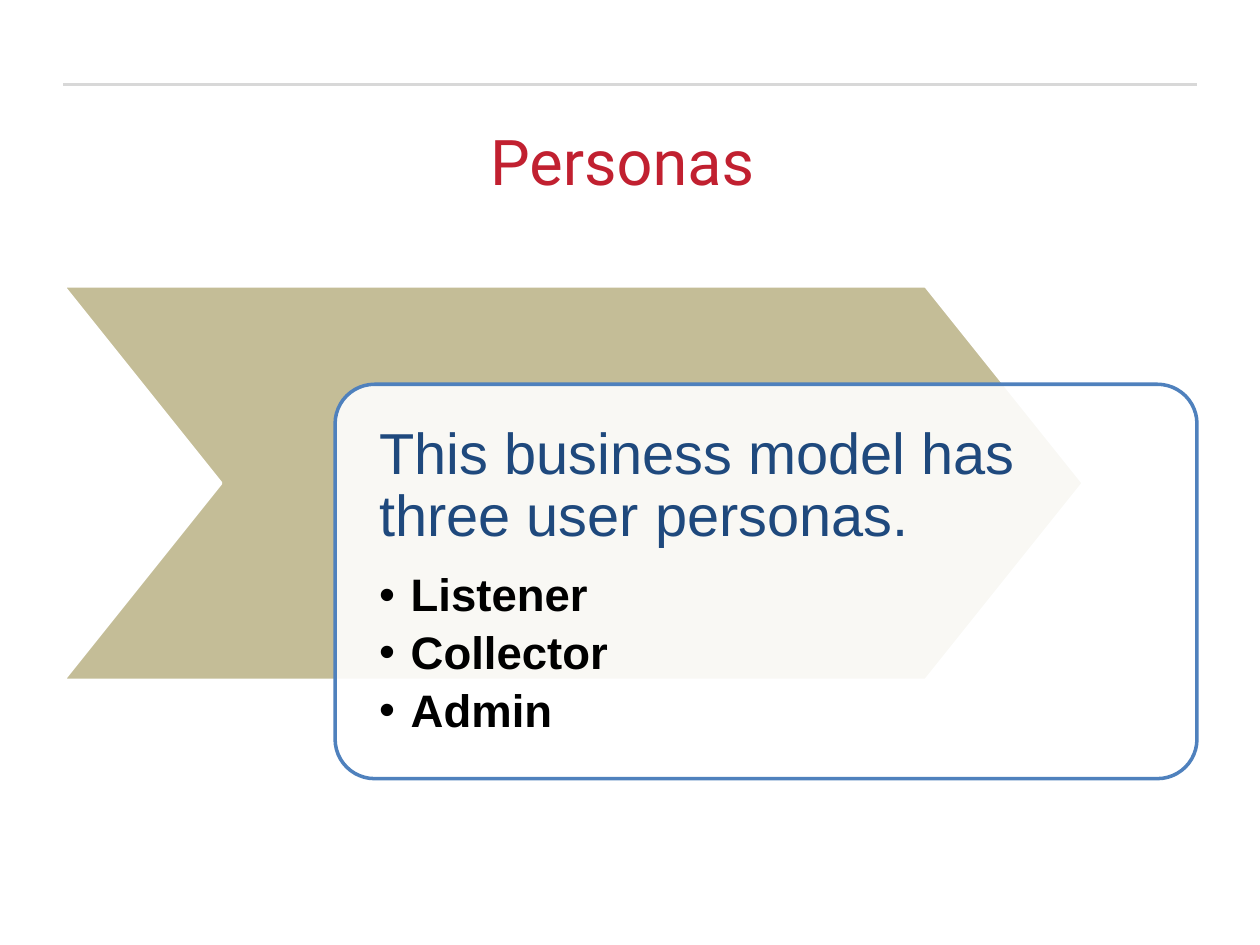
from lxml import etree
from pptx import Presentation
from pptx.dml.color import RGBColor
from pptx.enum import shapes, text
from pptx.oxml.ns import qn
from pptx.util import Inches, Pt

COLORS = {
    "rule": "D8D8D8", "title": "C12030", "chevron": "C4BD97", "white": "FFFFFF",
    "border": "4F81BD", "lead": "1F497D", "black": "000000",
}
PERSONAS = ["Listener", "Collector", "Admin"]


def rgb(name):
    return RGBColor.from_string(COLORS[name])


def add_rule(page, left, right, top):
    rule = page.shapes.add_connector(
        shapes.MSO_CONNECTOR.STRAIGHT, Inches(left), Inches(top), Inches(right), Inches(top))
    rule.line.color.rgb = rgb("rule")
    rule.line.width = Pt(2)
    etree.SubElement(rule._element.spPr, qn("a:effectLst"))


def add_panel(page, kind, place, adjust, fill, line, opacity=100):
    panel = page.shapes.add_shape(kind, *map(Inches, place))
    panel.adjustments[0] = adjust
    panel.shadow.inherit = False
    panel.fill.solid()
    panel.fill.fore_color.rgb = rgb(fill)
    panel.line.color.rgb = rgb(line)
    panel.line.width = Pt(2)
    if opacity < 100:
        color = panel._element.spPr.find(qn("a:solidFill"))[0]
        etree.SubElement(color, qn("a:alpha"), val=str(opacity * 1000))


def write(para, words, size, color, font="Arial", bold=False, align=None,
          spacing=None, after=0, bullet=False):
    span = para.add_run()
    span.text = words
    span.font.size = Pt(size)
    span.font.name = font
    span.font.bold = bold
    span.font.color.rgb = rgb(color)
    para.alignment = align
    para.line_spacing = spacing
    para.space_after = Pt(after)
    if bullet:
        para.level = 1
        props = para._p.get_or_add_pPr()
        props.set("marL", str(Inches(0.25)))
        props.set("indent", str(-Inches(0.25)))
        etree.SubElement(props, qn("a:buFont"), typeface="Arial")
        etree.SubElement(props, qn("a:buChar"), char="•")


def add_title(page, words):
    title = page.shapes.title
    title.left, title.top, title.width, title.height = map(Inches, (0.5, 0.92, 9, 0.83))
    title.text_frame.vertical_anchor = text.MSO_ANCHOR.TOP
    write(title.text_frame.paragraphs[0], words, 36, "title", font="Roboto",
          align=text.PP_ALIGN.CENTER)


def add_persona_text(page, lead, personas):
    box = page.shapes.add_textbox(*map(Inches, (2.75, 3.14, 6.66, 2.94)))
    frame = box.text_frame
    frame.word_wrap = True
    frame.vertical_anchor = text.MSO_ANCHOR.MIDDLE
    frame.margin_left = frame.margin_right = Inches(0.26)
    frame.margin_top = frame.margin_bottom = Inches(0.26)
    write(frame.paragraphs[0], lead, 33, "lead", spacing=0.9, after=13.5)
    for persona in personas:
        write(frame.add_paragraph(), persona, 26, "black", bold=True,
              spacing=0.9, after=5, bullet=True)


def main():
    deck = Presentation()
    deck.slide_width, deck.slide_height = Inches(10), Inches(7.5)
    page = deck.slides.add_slide(deck.slide_layouts[5])

    # Heading
    add_rule(page, 0.5, 9.5, 0.67)
    add_title(page, "Personas ")

    # Chevron with the card over it
    add_panel(page, shapes.MSO_SHAPE.CHEVRON, (0.5, 2.27, 8.1, 3.13), 0.4,
              "chevron", "white")
    add_panel(page, shapes.MSO_SHAPE.ROUNDED_RECTANGLE, (2.66, 3.05, 6.84, 3.13), 0.1,
              "white", "border", opacity=90)
    add_persona_text(page, "This business model has three user personas.", PERSONAS)

    deck.save("out.pptx")


if __name__ == "__main__":
    main()
